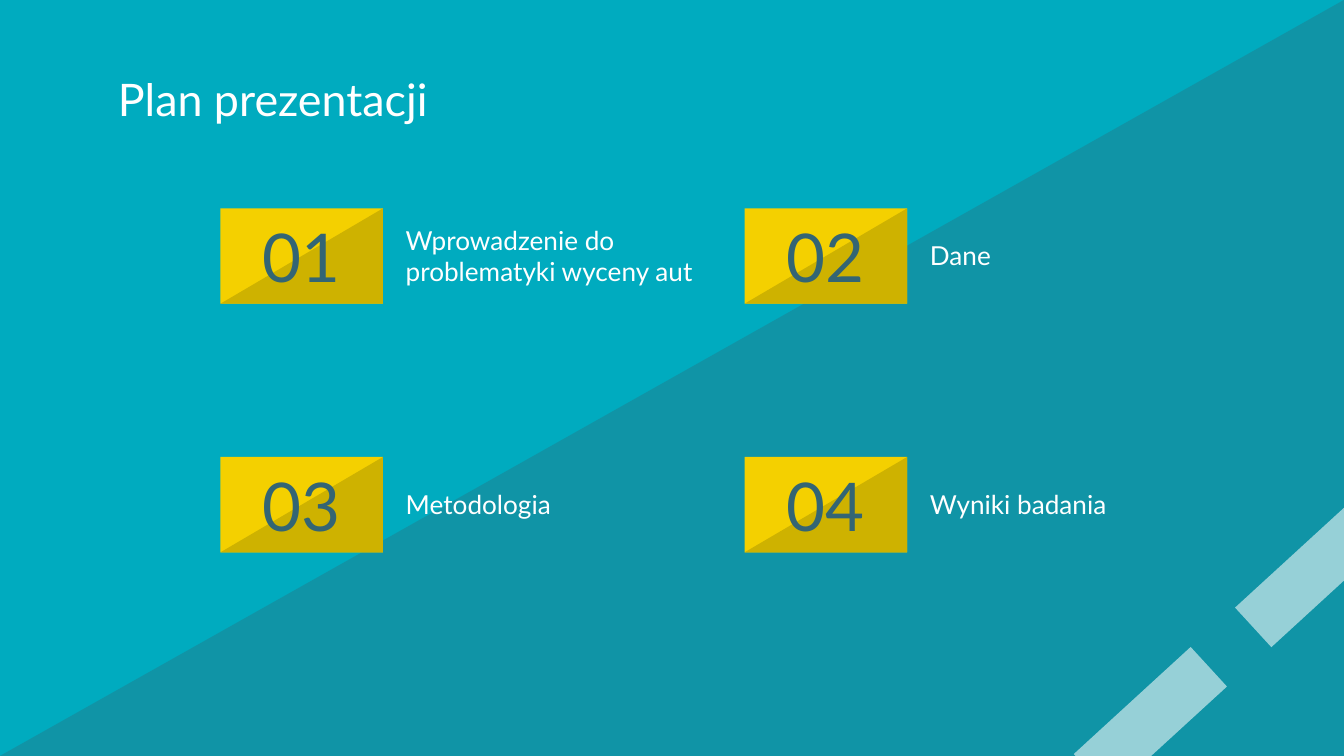
from pptx import Presentation
from pptx.dml.color import RGBColor
from pptx.enum.shapes import MSO_SHAPE as Shape
from pptx.enum.text import MSO_ANCHOR as Anchor, PP_ALIGN as Align
from pptx.oxml.ns import qn
from pptx.util import Inches, Pt
from lxml.etree import SubElement

TURQUOISE = RGBColor(0x00, 0xAB, 0xBF)
SLATE = RGBColor(0x33, 0x65, 0x74)
YELLOW = RGBColor(0xF4, 0xD0, 0x00)
DARK_YELLOW = RGBColor(0xCE, 0xB2, 0x00)
WHITE = RGBColor(0xFF, 0xFF, 0xFF)

FONT = "Lato"
SLIDE_WIDTH = 10
SLIDE_HEIGHT = SLIDE_WIDTH * 9 / 16
GRID_LEFT, GRID_TOP = 1.64, 1.55
COLUMN_STEP, ROW_STEP = 3.9, 1.85
BADGE_WIDTH, BADGE_HEIGHT = 1.21, 0.71
LABEL_OFFSET = 1.28
TOPICS = [
    ("Wprowadzenie do problematyki wyceny aut", 2.44),
    ("Dane", 1.55),
    ("Metodologia", 1.92),
    ("Wyniki badania", 1.55),
]


def add_block(slide, kind, left, top, width, height, color, opacity=100):
    shape = slide.shapes.add_shape(
        kind, Inches(left), Inches(top), Inches(width), Inches(height))
    shape.shadow.inherit = False
    shape.line.fill.background()
    shape.fill.solid()
    shape.fill.fore_color.rgb = color
    if opacity < 100:
        color_element = shape._element.spPr.find(qn("a:solidFill"))[0]
        SubElement(color_element, qn("a:alpha"), val=str(opacity * 1000))
    return shape


def add_corner(slide, left, top, width, height, color, opacity=100):
    triangle = add_block(slide, Shape.RIGHT_TRIANGLE, left, top, width, height,
                         color, opacity)
    triangle._element.spPr.find(qn("a:xfrm")).set("flipH", "1")


def add_text(slide, text, left, top, width, height, size, color,
             align=Align.LEFT):
    box = slide.shapes.add_textbox(
        Inches(left), Inches(top), Inches(width), Inches(height))
    frame = box.text_frame
    frame.word_wrap = True
    frame.vertical_anchor = Anchor.MIDDLE
    frame.margin_left = frame.margin_right = Inches(0.1)
    frame.margin_top = frame.margin_bottom = Inches(0.1)
    frame.text = text
    paragraph = frame.paragraphs[0]
    paragraph.alignment = align
    font = paragraph.runs[0].font
    font.name = FONT
    font.size = Pt(size)
    font.color.rgb = color


def add_background(slide):
    fill = slide.background.fill
    fill.solid()
    fill.fore_color.rgb = TURQUOISE
    add_corner(slide, 0, 0, SLIDE_WIDTH, SLIDE_HEIGHT, SLATE, 32)
    for left, top in [(7.97, 5.16), (9.17, 4.07)]:
        stripe = add_block(slide, Shape.RECTANGLE, left, top, 1.18, 0.4,
                           WHITE, 56)
        stripe.rotation = 317.5


def add_topic(slide, index, topic, label_width):
    row, column = divmod(index, 2)
    left = GRID_LEFT + column * COLUMN_STEP
    top = GRID_TOP + row * ROW_STEP
    badge = (left, top, BADGE_WIDTH, BADGE_HEIGHT)
    add_block(slide, Shape.RECTANGLE, *badge, YELLOW)
    add_corner(slide, *badge, DARK_YELLOW)
    add_text(slide, f"{index + 1:02}", *badge, 36, SLATE, Align.CENTER)
    add_text(slide, topic, left + LABEL_OFFSET, top, label_width, 0.7, 14,
             WHITE)


def main():
    presentation = Presentation()
    presentation.slide_width = Inches(SLIDE_WIDTH)
    presentation.slide_height = Inches(SLIDE_HEIGHT)
    slide = presentation.slides.add_slide(presentation.slide_layouts[6])
    add_background(slide)
    add_text(slide, "Plan prezentacji", 0.78, 0.42, 8.44, 0.63, 24, WHITE)
    for index, (topic, label_width) in enumerate(TOPICS):
        add_topic(slide, index, topic, label_width)
    presentation.save("out.pptx")


if __name__ == "__main__":
    main()
